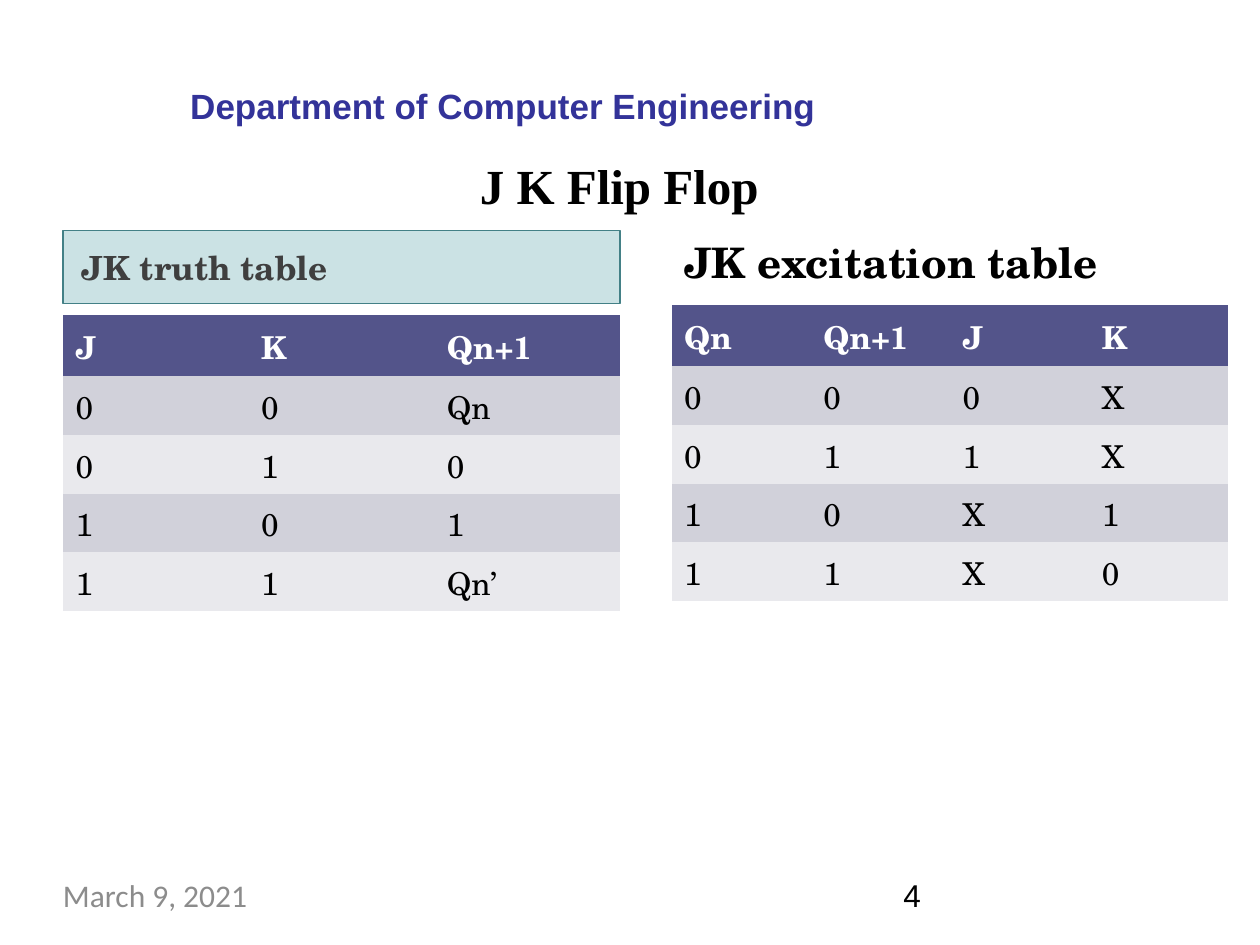
"""Build the JK flip flop slide with its truth and excitation tables."""
import dataclasses
import typing

import pptx
import pptx.dml.color
import pptx.enum.text
import pptx.oxml.ns
import pptx.oxml.xmlchemy
import pptx.util
from lxml import etree

Inches = pptx.util.Inches
Pt = pptx.util.Pt
Anchor = pptx.enum.text.MSO_ANCHOR
Align = pptx.enum.text.PP_ALIGN

COLORS = {
    "black": "000000",
    "white": "FFFFFF",
    "header": "53548A",
    "odd row": "D1D1DA",
    "even row": "E9E9ED",
    "label fill": "328E97",
    "label line": "438086",
    "label text": "3F3F3F",
    "date": "8C8C8C",
    "department": "333399",
}
SERIF = "TeX Gyre Schola"
PLAIN_TABLE_STYLE = "{2D5ABB26-0587-4C30-8999-92F81FD0307C}"
TABLE_WIDTH = 4.42


@dataclasses.dataclass(frozen=True)
class TextStyle:
    """Font settings of a paragraph."""

    font: str
    size: float
    color: str
    bold: bool = False


@dataclasses.dataclass(frozen=True)
class Label:
    """A piece of text, its box and its insets, in inches."""

    text: str
    box: tuple[float, float, float, float]
    style: TextStyle
    insets: tuple[float, float, float, float] = (0, 0, 0, 0)
    anchor: typing.Any = Anchor.TOP
    align: typing.Any = Align.LEFT
    space_before: float = 0


@dataclasses.dataclass(frozen=True)
class LogicTable:
    """A table whose first row is its header."""

    left: float
    top: float
    row_height: float
    rows: tuple[tuple[str, ...], ...]


TITLE = Label("J K Flip Flop", (0.33, 1.17, 9.17, 0.59),
              TextStyle("Times New Roman", 28, "black", True),
              (0.1, 0.05, 0.1, 0.05), Anchor.MIDDLE, Align.CENTER)
TRUTH_LABEL = Label("JK truth table", (0.5, 1.83, TABLE_WIDTH, 0.58),
                    TextStyle(SERIF, 19, "label text", True),
                    (0.15, 0.05, 0.1, 0.05), Anchor.MIDDLE, space_before=3)
EXCITATION_LABEL = Label("JK excitation table", (5.33, 1.83, 4.25, 0.9),
                         TextStyle(SERIF, 24, "black", True), (0.1, 0.05, 0.1, 0.05))
FREE_LABELS = (
    Label("March 9, 2021", (0.5, 6.95, 2.33, 0.4), TextStyle("Calibri", 18, "date")),
    Label("4", (7.17, 6.95, 2.33, 0.4), TextStyle("Arial", 18, "black")),
    Label("Department of Computer Engineering", (1.5, 0.66, 4.98, 0.36),
          TextStyle("Arial", 20, "department", True), (0.01, 0.01, 0, 0), space_before=1),
)
TABLES = (
    LogicTable(0.5, 2.5, 0.4, (
        ("J", "K", "Qn+1"),
        ("0", "0", "Qn"),
        ("0", "1", "0"),
        ("1", "0", "1"),
        ("1", "1", "Qn’"),
    )),
    LogicTable(5.33, 2.42, 0.42, (
        ("Qn", "Qn+1", "J", "K"),
        ("0", "0", "0", "X"),
        ("0", "1", "1", "X"),
        ("1", "0", "X", "1"),
        ("1", "1", "X", "0"),
    )),
)


def color(name: str) -> pptx.dml.color.RGBColor:
    """Return the named colour."""
    return pptx.dml.color.RGBColor.from_string(COLORS[name])


def style_paragraph(paragraph: typing.Any, style: TextStyle) -> None:
    """Apply a text style to a paragraph."""
    font = paragraph.font
    font.name, font.size, font.bold = style.font, Pt(style.size), style.bold
    font.color.rgb = color(style.color)


def set_insets(target: typing.Any, insets: tuple[float, ...]) -> None:
    """Set the left, top, right and bottom insets of a text frame or cell."""
    for side, inset in zip(("left", "top", "right", "bottom"), insets):
        setattr(target, f"margin_{side}", Inches(inset))


def fill_label(shape: typing.Any, label: Label) -> None:
    """Place a shape and give it the text of a label."""
    shape.left, shape.top, shape.width, shape.height = map(Inches, label.box)
    frame = shape.text_frame
    frame.text = label.text
    frame.word_wrap = True
    frame.auto_size = pptx.enum.text.MSO_AUTO_SIZE.NONE
    frame.vertical_anchor = label.anchor
    set_insets(frame, label.insets)
    paragraph = frame.paragraphs[0]
    paragraph.alignment = label.align
    paragraph.space_before = Pt(label.space_before)
    style_paragraph(paragraph, label.style)


def add_logic_table(slide: typing.Any, logic_table: LogicTable) -> None:
    """Draw a logic table with a dark header and banded rows."""
    row_count, column_count = len(logic_table.rows), len(logic_table.rows[0])
    frame = slide.shapes.add_table(
        row_count, column_count, Inches(logic_table.left), Inches(logic_table.top),
        Inches(TABLE_WIDTH), Inches(logic_table.row_height * row_count))
    style_id = next(frame.element.iter(pptx.oxml.ns.qn("a:tableStyleId")))
    style_id.text = PLAIN_TABLE_STYLE
    for row_index, row in enumerate(logic_table.rows):
        is_header = row_index == 0
        fill = "header" if is_header else "odd row" if row_index % 2 else "even row"
        style = TextStyle(SERIF, 18, "white" if is_header else "black", is_header)
        for column_index, text in enumerate(row):
            cell = frame.table.cell(row_index, column_index)
            cell.text = text
            cell.fill.solid()
            cell.fill.fore_color.rgb = color(fill)
            set_insets(cell, (0.1, 0.06, 0.1, 0.05))
            paragraph = cell.text_frame.paragraphs[0]
            paragraph.line_spacing = 0.97
            style_paragraph(paragraph, style)


def tint_label(shape: typing.Any) -> None:
    """Give a label a translucent fill and a thin outline."""
    shape.fill.solid()
    shape.fill.fore_color.rgb = color("label fill")
    fill_color = next(shape.element.iter(pptx.oxml.ns.qn("a:srgbClr")))
    etree.SubElement(fill_color, pptx.oxml.ns.qn("a:alpha"), val="25000")
    shape.line.color.rgb = color("label line")
    shape.line.width = Pt(1)


def main() -> None:
    """Build and save the presentation."""
    presentation = pptx.Presentation()
    presentation.slide_width, presentation.slide_height = Inches(10), Inches(7.5)
    slide = presentation.slides.add_slide(
        presentation.slide_layouts.get_by_name("Comparison"))
    title, truth, truth_content, excitation, excitation_content = slide.placeholders
    for placeholder in (truth_content, excitation_content):
        placeholder.element.getparent().remove(placeholder.element)
    fill_label(title, TITLE)
    fill_label(truth, TRUTH_LABEL)
    tint_label(truth)
    fill_label(excitation, EXCITATION_LABEL)
    for logic_table in TABLES:
        add_logic_table(slide, logic_table)
    for label in FREE_LABELS:
        fill_label(slide.shapes.add_textbox(*map(Inches, label.box)), label)
    presentation.save("out.pptx")


if __name__ == "__main__":
    main()
